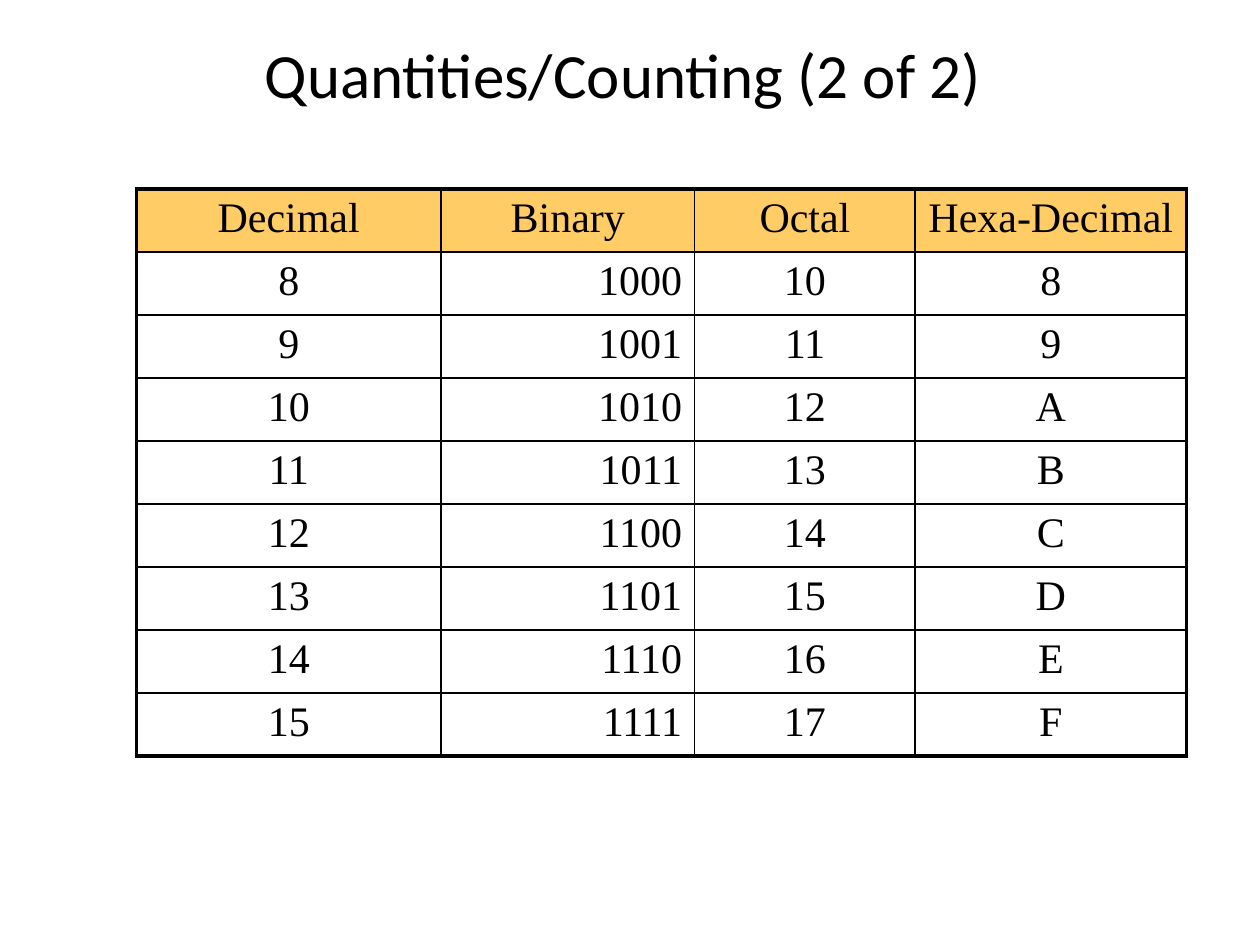
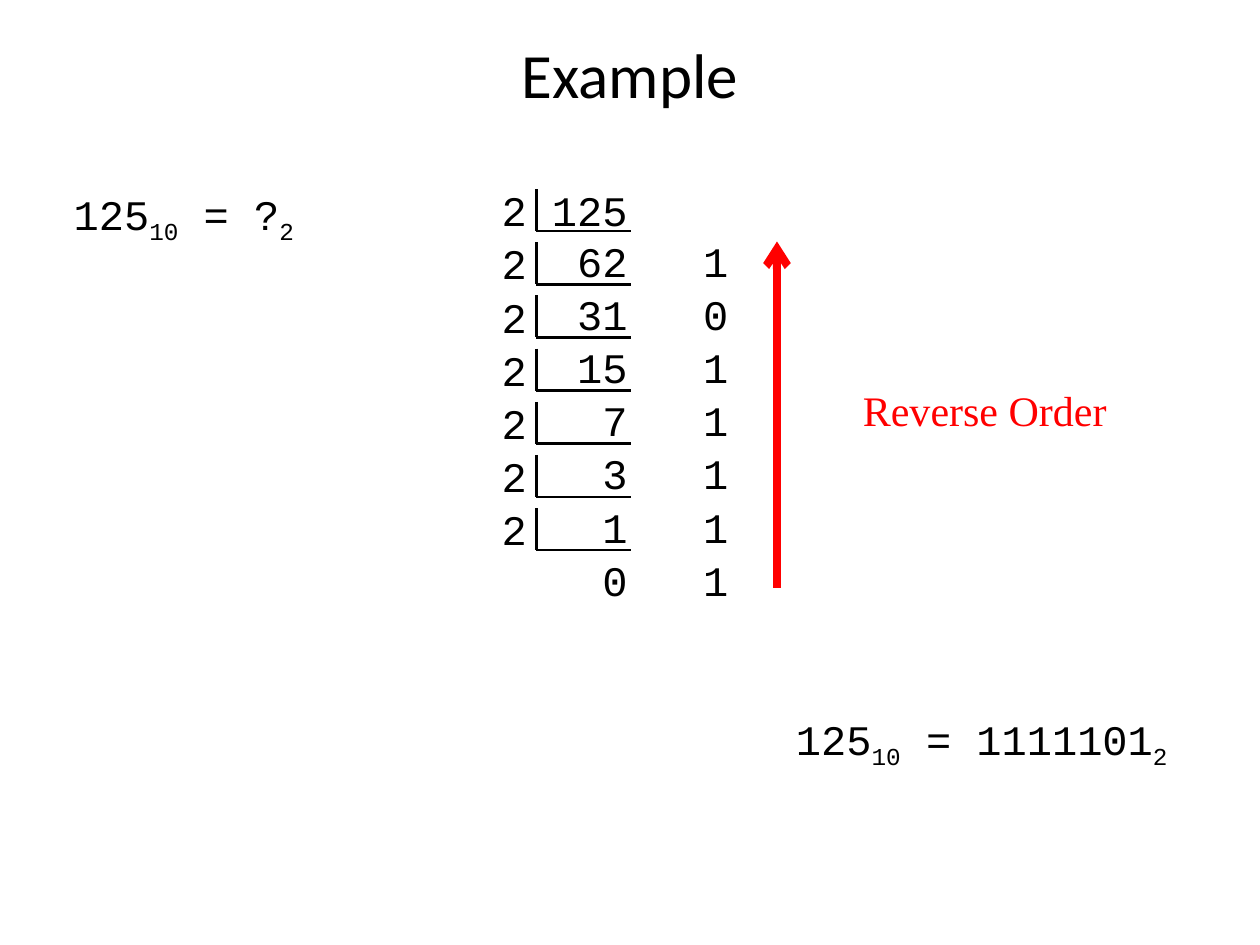
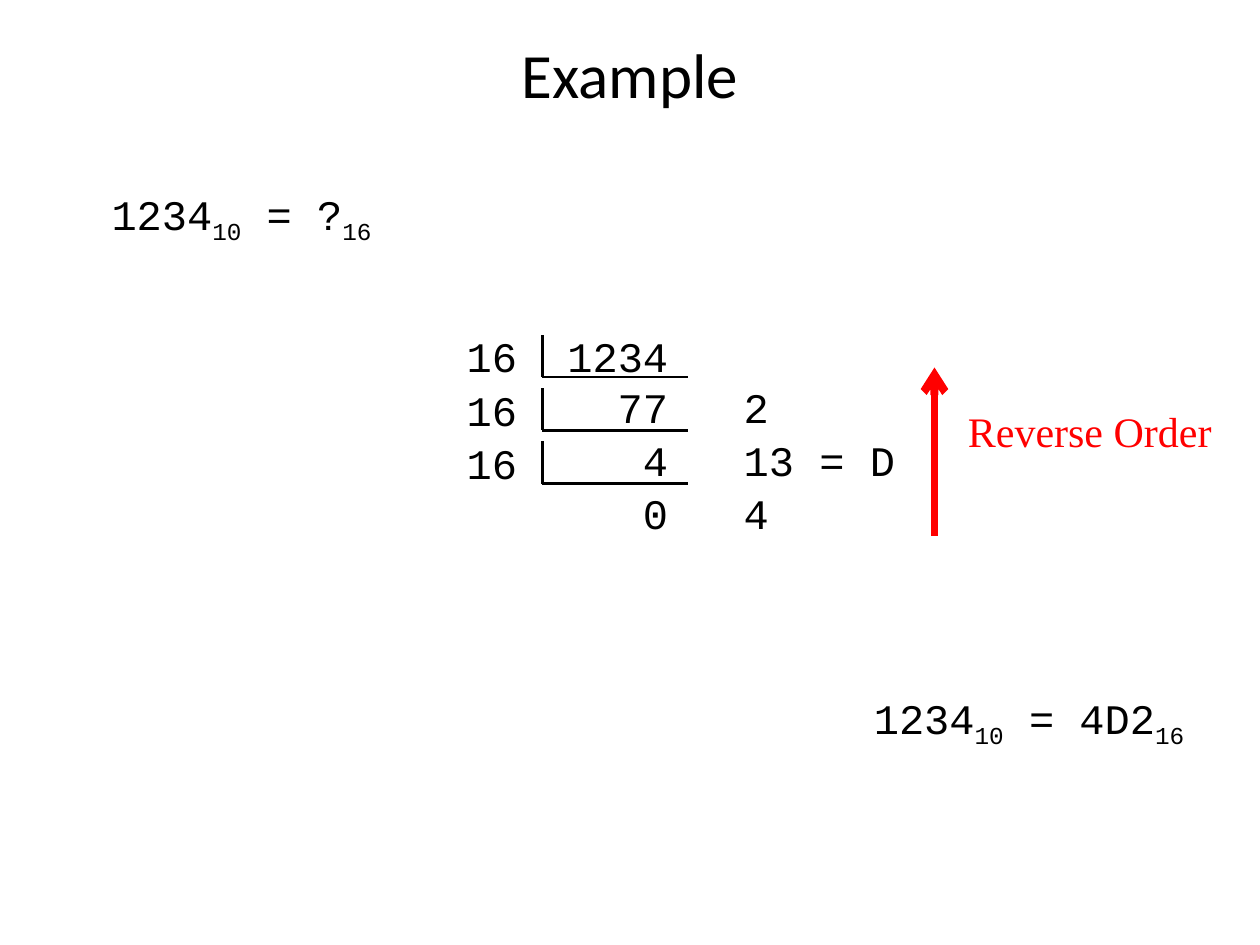
from lxml import etree
from pptx import Presentation
from pptx.dml.color import RGBColor
from pptx.enum.shapes import MSO_CONNECTOR as CONN
from pptx.enum.text import MSO_ANCHOR as ANCHOR, PP_ALIGN as ALIGN
from pptx.oxml import parse_xml
from pptx.oxml.ns import nsdecls, qn
from pptx.util import Pt

BLACK, RED, HEADER_FILL = "000000", "FF0000", "FFCC66"
TITLE_FONT, MONO, SERIF = "Calibri", "Courier New", "Times New Roman"
BODY_SIZE, MONO_LINE = 24, 28.8
DIGITS = "0123456789ABCDEF"


def color(hex_code):
    return RGBColor.from_string(hex_code)


def add_run(p, text, font, size=BODY_SIZE, hex_code=BLACK, subscript=False):
    r = p.add_run()
    r.text = text
    r.font.name, r.font.size = font, Pt(size)
    r.font.color.rgb = color(hex_code)
    if subscript:
        r._r.get_or_add_rPr().set("baseline", "-25000")


def add_slide(prs, title):
    s = prs.slides.add_slide(prs.slide_layouts[5])
    sp = s.shapes.title
    sp.left, sp.top, sp.width, sp.height = Pt(54), Pt(12), Pt(612), Pt(60)
    sp.text_frame.vertical_anchor = ANCHOR.MIDDLE
    p = sp.text_frame.paragraphs[0]
    p.alignment = ALIGN.CENTER
    add_run(p, title, TITLE_FONT, 36)
    return s


def add_text_box(s, left, top, width, height):
    tf = s.shapes.add_textbox(Pt(left), Pt(top), Pt(width), Pt(height)).text_frame
    tf.word_wrap = True
    return tf


def add_line(s, x1, y1, x2, y2, weight=1.5, hex_code=BLACK, arrow=False):
    line = s.shapes.add_connector(CONN.STRAIGHT, Pt(x1), Pt(y1), Pt(x2), Pt(y2))
    line.line.width = Pt(weight)
    line.line.color.rgb = color(hex_code)
    if arrow:
        ln = line.line._get_or_add_ln()
        etree.SubElement(ln, qn("a:tailEnd"), type="arrow")
    etree.SubElement(line._element.spPr, qn("a:effectLst"))


def set_borders(cell, weights):
    """Set the left, right, top and bottom border weights, in points."""
    tc_pr = cell._tc.get_or_add_tcPr()
    for i, (side, weight) in enumerate(zip("LRTB", weights)):
        tc_pr.insert(i, parse_xml(
            f'<a:ln{side} {nsdecls("a")} w="{Pt(weight)}"><a:solidFill>'
            f'<a:srgbClr val="{BLACK}"/></a:solidFill></a:ln{side}>'))


def add_counting_table(s, left, top, col_widths, row_height, rows):
    n_rows, n_cols = len(rows), len(col_widths)
    table = s.shapes.add_table(n_rows, n_cols, Pt(left), Pt(top),
                               Pt(sum(col_widths)), Pt(row_height * n_rows)).table
    table.first_row = table.horz_banding = False
    for column, width in zip(table.columns, col_widths):
        column.width = Pt(width)
    for i, row in enumerate(rows):
        table.rows[i].height = Pt(row_height)
        for j, text in enumerate(row):
            cell = table.cell(i, j)
            if i == 0:
                cell.fill.solid()
                cell.fill.fore_color.rgb = color(HEADER_FILL)
            else:
                cell.fill.background()
            on_edge = (j == 0, j == n_cols - 1, i == 0, i == n_rows - 1)
            set_borders(cell, [2.25 if edge else 1 for edge in on_edge])
            p = cell.text_frame.paragraphs[0]
            p.alignment = ALIGN.RIGHT if i and j == 1 else ALIGN.CENTER
            add_run(p, text, SERIF)


def add_equation(s, left, top, width, number, result, base):
    p = add_text_box(s, left, top, width, 36).paragraphs[0]
    p.alignment = ALIGN.CENTER
    p.line_spacing = Pt(MONO_LINE)
    for text, subscript in ((str(number), False), ("10", True),
                            (f" = {result}", False), (str(base), True)):
        add_run(p, text, MONO, subscript=subscript)


def add_tabbed_line(p, text, quotient_tab, remainder_tab):
    tabs = etree.SubElement(p._p.get_or_add_pPr(), qn("a:tabLst"))
    for position, align in ((quotient_tab, "r"), (remainder_tab, "l")):
        etree.SubElement(tabs, qn("a:tab"), pos=str(Pt(position)), algn=align)
    p.line_spacing = Pt(MONO_LINE)
    add_run(p, text, MONO)


def add_division_ladder(s, left, top, width, pitch, number, base, tabs,
                        bracket_x, bracket_width):
    """Stack the repeated divisions of number by base, one bracket per step."""
    first_line = f"{base}\t{number}"
    while number:
        number, remainder = divmod(number, base)
        shown = str(remainder)
        if remainder > 9:
            shown += f" = {DIGITS[remainder]}"
        tf = add_text_box(s, left, top, width, 65)
        add_tabbed_line(tf.paragraphs[0], first_line, *tabs)
        add_tabbed_line(tf.add_paragraph(), f"\t{number}\t{shown}", *tabs)
        x, foot = left + bracket_x, top + 30
        add_line(s, x, top + 6, x, foot)
        add_line(s, x, foot, x + bracket_width, foot)
        first_line = str(base)
        top += pitch


def add_reverse_order(s, arrow_x, arrow_top, arrow_bottom, label_left, label_top):
    add_line(s, arrow_x, arrow_bottom, arrow_x, arrow_top, 4.5, RED, arrow=True)
    tf = add_text_box(s, label_left, label_top, 192, 36.5)
    add_run(tf.paragraphs[0], "Reverse Order", SERIF, hex_code=RED)


def counting_slide(prs):
    s = add_slide(prs, "Quantities/Counting (2 of 2) ")
    rows = [("Decimal", "Binary", "Octal", "Hexa-Decimal")]
    rows += [[format(n, code) for code in "dboX"] for n in range(8, 16)]
    add_counting_table(s, 78, 108, (174, 145, 126, 155), 36, rows)


def binary_slide(prs):
    s = add_slide(prs, "Example")
    add_equation(s, 24, 108, 162, 125, "?", 2)
    add_division_ladder(s, 279.5, 102, 162, 30.4, 125, 2, tabs=(72, 115.2),
                        bracket_x=27, bracket_width=54)
    add_equation(s, 432, 408, 258, 125, "1111101", 2)
    add_reverse_order(s, 444, 138, 336, 486, 216)


def hexadecimal_slide(prs):
    s = add_slide(prs, "Example")
    add_equation(s, 24, 108, 228, 1234, "?", 16)
    add_equation(s, 474, 396, 228, 1234, "4D2", 16)
    add_division_ladder(s, 259.5, 185.5, 279, 30.4, 1234, 16, tabs=(115.2, 158.4),
                        bracket_x=50.5, bracket_width=83)
    add_reverse_order(s, 534, 210, 306, 546, 228)


def main():
    prs = Presentation()
    prs.slide_width, prs.slide_height = Pt(720), Pt(540)
    counting_slide(prs)
    binary_slide(prs)
    hexadecimal_slide(prs)
    prs.save("out.pptx")


if __name__ == "__main__":
    main()
